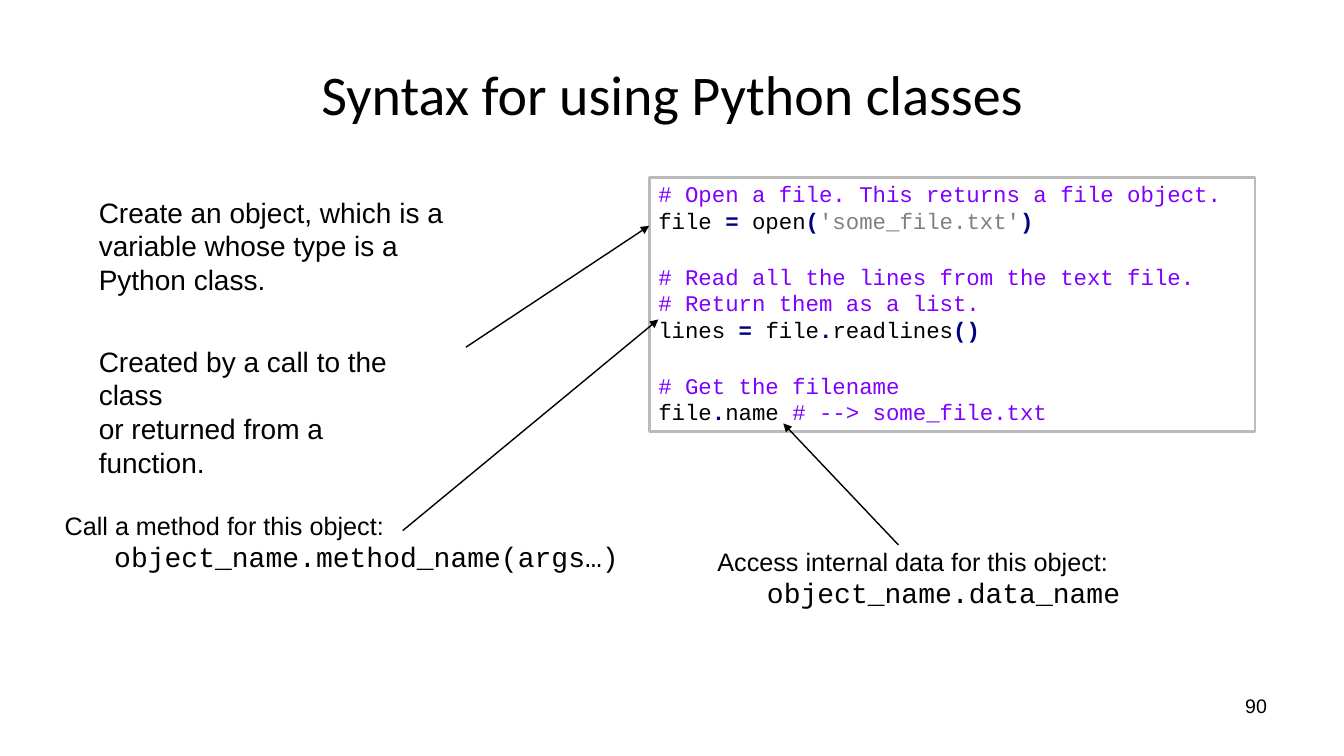
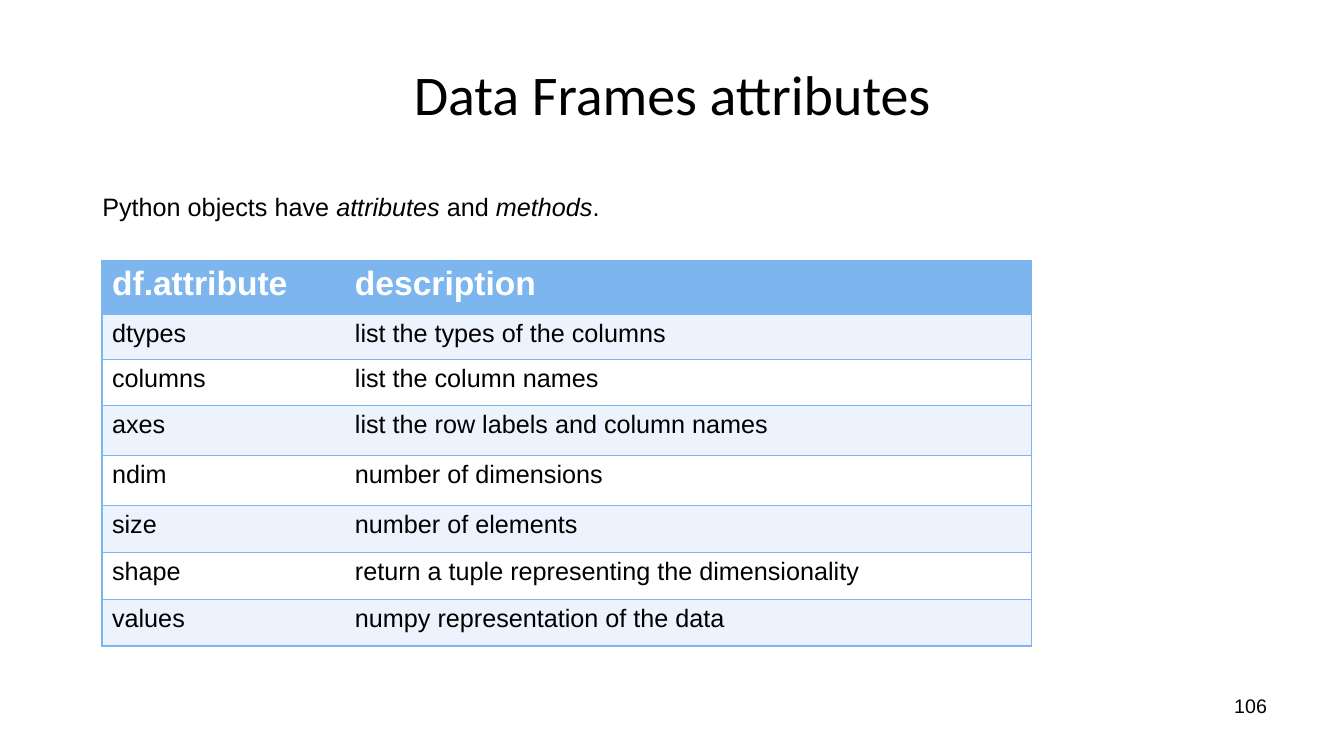
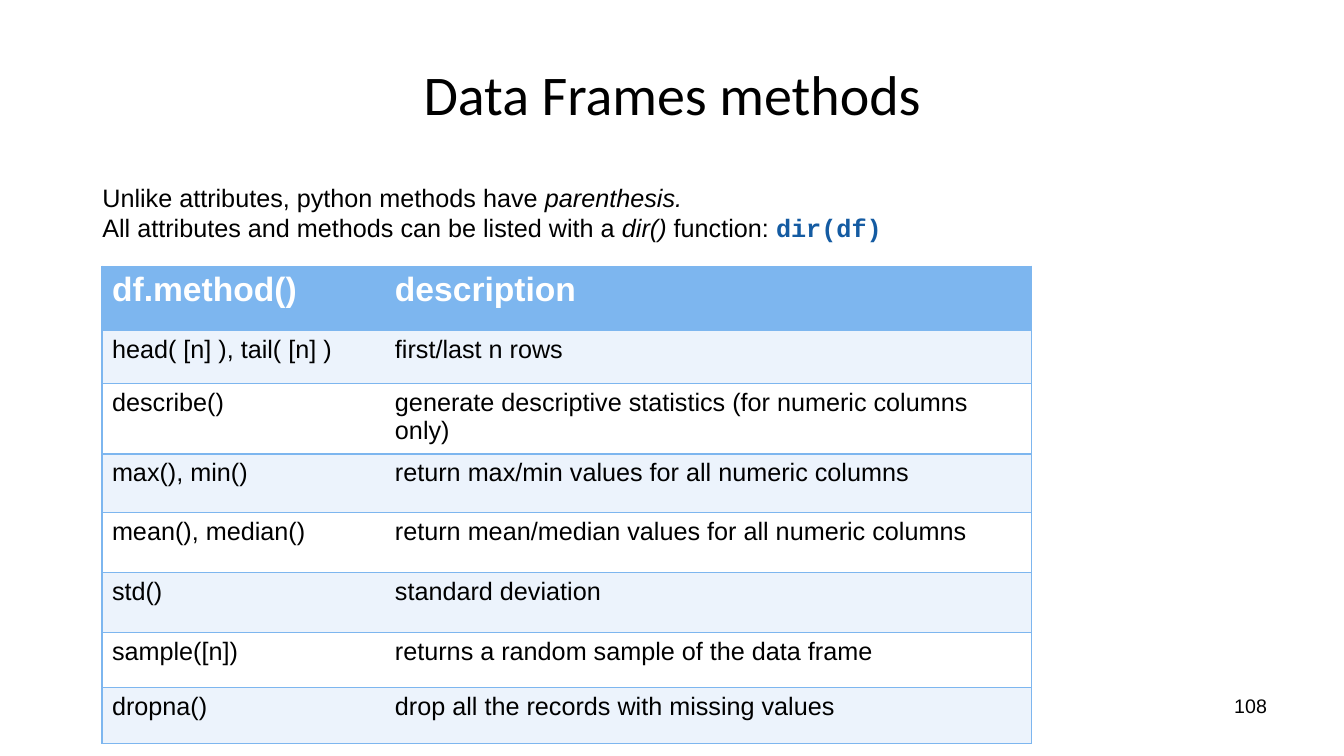
from lxml.etree import SubElement
from pptx import Presentation
from pptx.dml.color import RGBColor
from pptx.enum.shapes import MSO_CONNECTOR, MSO_SHAPE
from pptx.enum.text import MSO_ANCHOR, PP_ALIGN
from pptx.oxml.ns import qn
from pptx.util import Cm, Pt

# Shared look
colour = RGBColor.from_string
BLACK, WHITE = "000000", "FFFFFF"
TABLE_BLUE, TABLE_TINT = "7DB6EF", "ECF3FC"
PLAIN = {}
ITALIC = {"italic": True}
COMMENT = {"color": "8000FF"}
OPERATOR = {"color": "000080", "bold": True}
STRING = {"color": "808080"}
CALL = {"color": "145BA2", "bold": True, "name": "Courier New"}
NO_STYLE_TABLE = "{2D5ABB26-0587-4C30-8999-92F81FD0307C}"

deck = Presentation()
deck.slide_width, deck.slide_height = Cm(33.87), Cm(19.05)
title_only = deck.slide_layouts[5]
layout_title = title_only.placeholders[0]
layout_title.left, layout_title.top = Cm(1.7), Cm(0.76)
layout_title.width, layout_title.height = Cm(30.48), Cm(3.18)


def write(frame, lines, size, name="Arial"):
    """Fill a text frame with lines, each a list of (text, style) spans."""
    frame.word_wrap = True
    for index, line in enumerate(lines):
        para = frame.paragraphs[0] if index == 0 else frame.add_paragraph()
        for text, style in line:
            span = para.add_run()
            span.text = text
            span.font.size = Pt(size)
            span.font.name = style.get("name", name)
            span.font.bold = style.get("bold", False)
            span.font.italic = style.get("italic", False)
            span.font.color.rgb = colour(style.get("color", BLACK))


def add_page(title, number):
    """Add a slide with its title and page number."""
    page = deck.slides.add_slide(title_only)
    frame = page.shapes.title.text_frame
    frame.vertical_anchor = MSO_ANCHOR.MIDDLE
    write(frame, [[(title, PLAIN)]], 40, "Calibri")
    frame.paragraphs[0].alignment = PP_ALIGN.CENTER
    box = page.shapes.add_textbox(Cm(24.28), Cm(17.35), Cm(7.9), Cm(1.32))
    write(box.text_frame, [[(number, PLAIN)]], 14)
    box.text_frame.paragraphs[0].alignment = PP_ALIGN.RIGHT
    return page


# Slide 1: syntax
page = add_page("Syntax for using Python classes", "90")

# Explanation on the left
box = page.shapes.add_textbox(Cm(2.49), Cm(4.92), Cm(9.12), Cm(5.49))
frame = box.text_frame
frame.margin_left = frame.margin_right = frame.margin_top = frame.margin_bottom = 0
write(frame, [
    [("Create an object, which is a variable whose type is a Python class.", PLAIN)],
    [("Created by a call to the class", PLAIN)],
    [("or returned from a function.", PLAIN)],
], 20)
for para in frame.paragraphs:
    para.line_spacing = Pt(24)
created = frame.paragraphs[1]
created.space_before = Pt(34.5)
created._p.get_or_add_pPr().set("marR", str(Cm(0.8)))

# Code panel
panel = page.shapes.add_shape(MSO_SHAPE.RECTANGLE, Cm(16.36), Cm(4.47), Cm(15.27), Cm(6.4))
panel.shadow.inherit = False
panel.fill.background()
panel.line.color.rgb = colour("BBBBBB")
panel.line.width = Pt(2)
frame = panel.text_frame
frame.vertical_anchor = MSO_ANCHOR.TOP
frame.margin_left, frame.margin_top = Cm(0.23), Cm(0.08)
frame.margin_right = frame.margin_bottom = 0
write(frame, [
    [("# Open a file. This returns a file object.", COMMENT)],
    [("file ", PLAIN), ("= ", OPERATOR), ("open", PLAIN), ("(", OPERATOR),
     ("'some_file.txt'", STRING), (")", OPERATOR)],
    [("# Read all the lines from the text file.", COMMENT)],
    [("# Return them as a list.", COMMENT)],
    [("lines ", PLAIN), ("= ", OPERATOR), ("file", PLAIN), (".", OPERATOR),
     ("readlines", PLAIN), ("()", OPERATOR)],
    [("# Get the filename", COMMENT)],
    [("file", PLAIN), (".", OPERATOR), ("name ", PLAIN),
     ("# --> some_file.txt", COMMENT)],
], 16, "Courier New")
for para in frame.paragraphs:
    para.alignment = PP_ALIGN.LEFT
    para.line_spacing = Pt(19)
for block_start in (2, 5):
    frame.paragraphs[block_start].space_before = Pt(21)

# Captions with a syntax pattern
for left, top, width, caption, pattern in [
    (1.63, 12.9, 14.02, "Call a method for this object:", "object_name.method_name(args…)"),
    (18.08, 13.81, 10.21, "Access internal data for this object:", "object_name.data_name"),
]:
    box = page.shapes.add_textbox(Cm(left), Cm(top), Cm(width), Cm(1.63))
    frame = box.text_frame
    frame.margin_left = frame.margin_right = frame.margin_top = frame.margin_bottom = 0
    write(frame, [[(caption, PLAIN)], [(pattern, {"name": "Courier New"})]], 18)
    caption_para, pattern_para = frame.paragraphs
    caption_para.line_spacing = Pt(20.6)
    pattern_para.line_spacing = Pt(23.1)
    pattern_para._p.get_or_add_pPr().set("marL", str(Cm(1.25)))
    pattern_para.runs[0].font.size = Pt(20)

# Arrows from the explanations to the code
for start_x, start_y, end_x, end_y in [
    (11.74, 8.75, 16.36, 5.69),
    (10.15, 13.37, 16.59, 8.05),
    (22.64, 13.73, 19.74, 10.67),
]:
    arrow = page.shapes.add_connector(
        MSO_CONNECTOR.STRAIGHT, Cm(start_x), Cm(start_y), Cm(end_x), Cm(end_y))
    arrow.line.color.rgb = colour(BLACK)
    arrow.line.width = Pt(1)
    SubElement(arrow.line._get_or_add_ln(), qn("a:tailEnd"), type="triangle")
    SubElement(arrow._element.spPr, qn("a:effectLst"))

# Slides 2 and 3: an introduction above a table
table_pages = [
    {
        "title": "Data Frames attributes", "number": "106",
        "intro_top": 4.7, "intro_height": 1.02,
        "intro": [[("Python objects have ", PLAIN), ("attributes", ITALIC),
                   (" and ", PLAIN), ("methods", ITALIC), (".", PLAIN)]],
        "table_top": 6.56, "columns": [6.12, 17.3],
        "heights": [1.37, 1.14, 1.14, 1.26, 1.27, 1.18, 1.18, 1.18],
        "rows": [
            ("df.attribute", "description"),
            ("dtypes", "list the types of the columns"),
            ("columns", "list the column names"),
            ("axes", "list the row labels and column names"),
            ("ndim", "number of dimensions"),
            ("size", "number of elements"),
            ("shape", "return a tuple representing the dimensionality"),
            ("values", "numpy representation of the data"),
        ],
    },
    {
        "title": "Data Frames methods", "number": "108",
        "intro_top": 4.47, "intro_height": 1.8,
        "intro": [
            [("Unlike attributes, python methods have ", PLAIN), ("parenthesis.", ITALIC)],
            [("All attributes and methods can be listed with a ", PLAIN),
             ("dir() ", ITALIC), ("function: ", PLAIN), ("dir(df)", CALL)],
        ],
        "table_top": 6.71, "columns": [7.13, 16.29],
        "heights": [1.61, 1.34, 1.34, 1.47, 1.51, 1.51, 1.4, 1.4],
        "rows": [
            ("df.method()", "description"),
            ("head( [n] ), tail( [n] )", "first/last n rows"),
            ("describe()", "generate descriptive statistics (for numeric columns only)"),
            ("max(), min()", "return max/min values for all numeric columns"),
            ("mean(), median()", "return mean/median values for all numeric columns"),
            ("std()", "standard deviation"),
            ("sample([n])", "returns a random sample of the data frame"),
            ("dropna()", "drop all the records with missing values"),
        ],
    },
]

for content in table_pages:
    page = add_page(content["title"], content["number"])
    box = page.shapes.add_textbox(
        Cm(2.33), Cm(content["intro_top"]), Cm(20.8), Cm(content["intro_height"]))
    write(box.text_frame, content["intro"], 18)

    # Table grid
    rows, columns, heights = content["rows"], content["columns"], content["heights"]
    table = page.shapes.add_table(
        len(rows), len(columns), Cm(2.57), Cm(content["table_top"]),
        Cm(sum(columns)), Cm(sum(heights))).table
    table._tbl.tblPr.find(qn("a:tableStyleId")).text = NO_STYLE_TABLE
    table.horz_banding = False
    for column, width in zip(table.columns, columns):
        column.width = Cm(width)

    # Cells: outer frame, row rules and alternating fills
    for row_index, (row, height) in enumerate(zip(rows, heights)):
        table.rows[row_index].height = Cm(height)
        header = row_index == 0
        fill = TABLE_BLUE if header else (WHITE, TABLE_TINT)[row_index % 2]
        style = {"color": WHITE, "bold": True} if header else PLAIN
        for column_index, text in enumerate(row):
            cell = table.cell(row_index, column_index)
            write(cell.text_frame, [[(text, style)]], 24 if header else 18)
            outer_side = "a:lnL" if column_index == 0 else "a:lnR"
            for side in (outer_side, "a:lnT", "a:lnB"):
                border = SubElement(cell._tc.get_or_add_tcPr(), qn(side), w=str(Pt(1)))
                border_fill = SubElement(border, qn("a:solidFill"))
                SubElement(border_fill, qn("a:srgbClr"), val=TABLE_BLUE)
            cell.fill.solid()
            cell.fill.fore_color.rgb = colour(fill)

deck.save("out.pptx")
